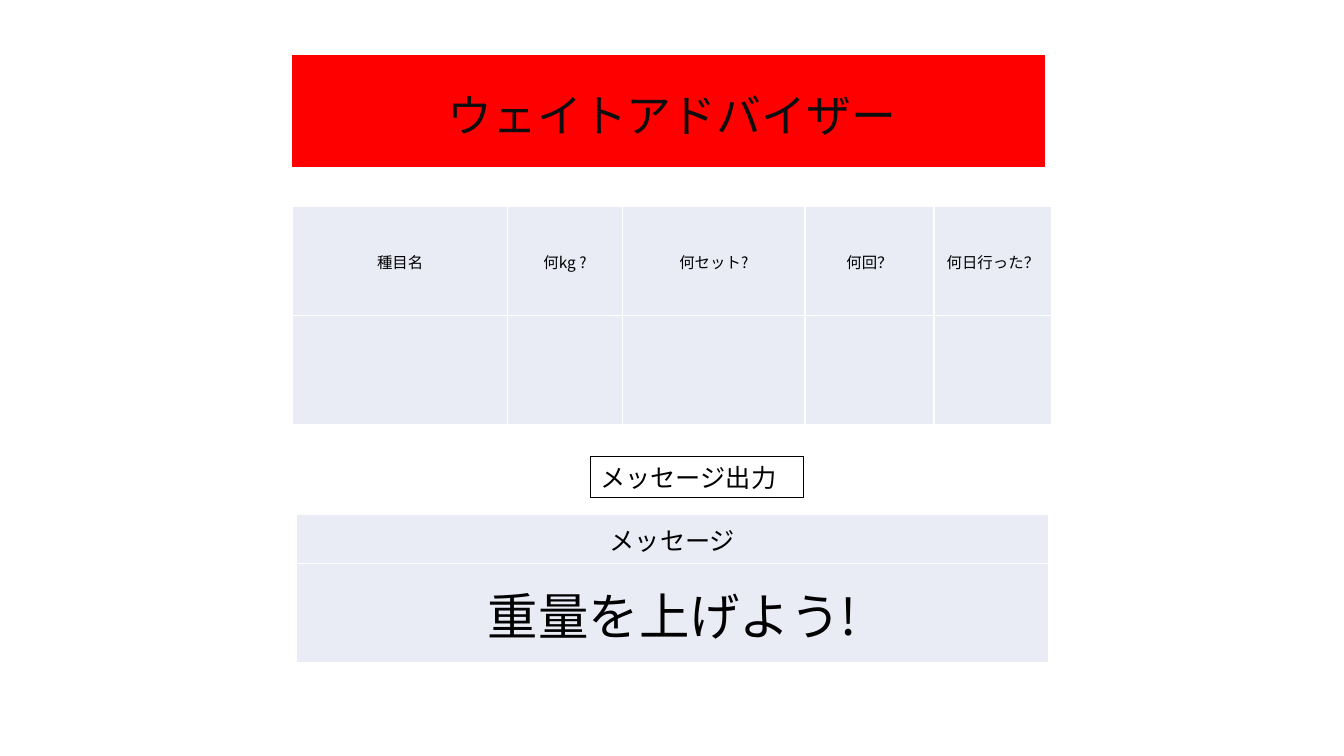
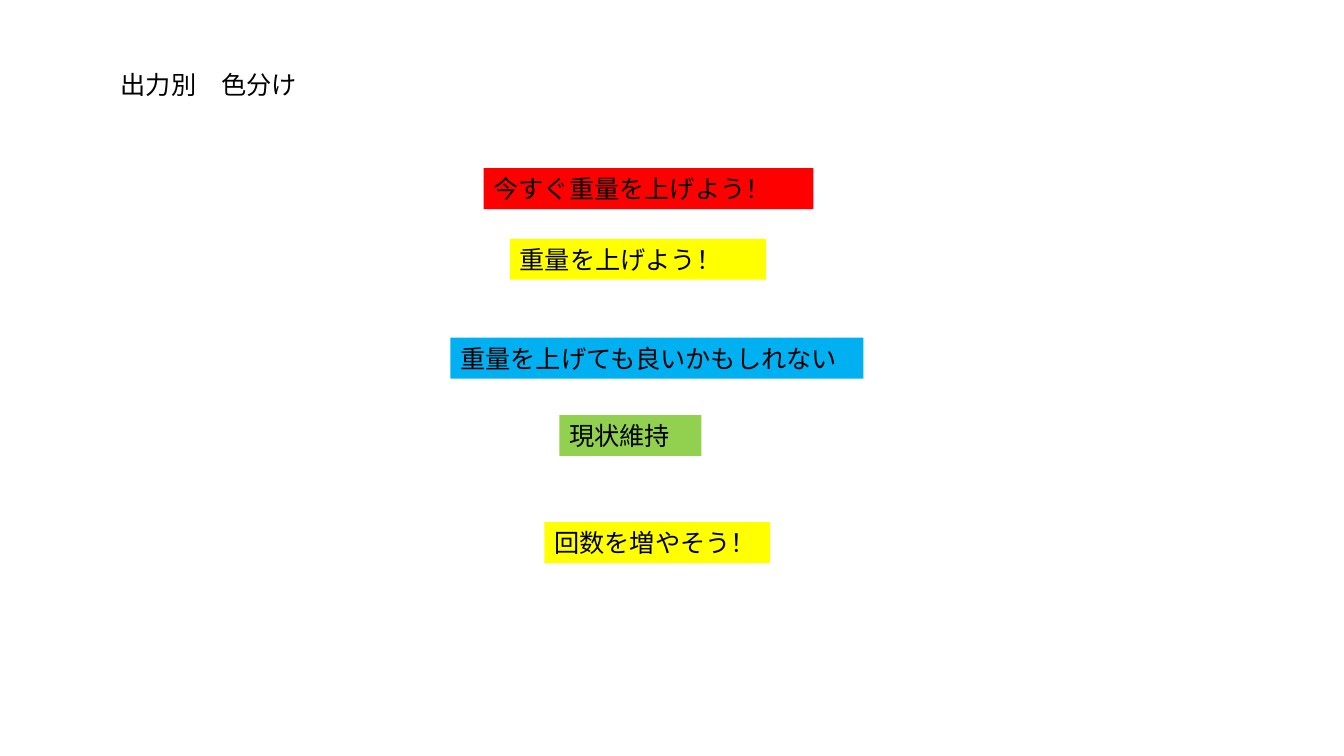
from lxml import etree
from pptx import Presentation
from pptx.dml.color import RGBColor
from pptx.enum.shapes import MSO_SHAPE
from pptx.enum.text import MSO_ANCHOR, MSO_AUTO_SIZE, PP_ALIGN
from pptx.oxml.ns import qn
from pptx.util import Cm, Pt

RECT = MSO_SHAPE.RECTANGLE
MIDDLE = MSO_ANCHOR.MIDDLE
FIXED = MSO_AUTO_SIZE.NONE
LEFT, CENTER = PP_ALIGN.LEFT, PP_ALIGN.CENTER

BLACK, INK, WHITE = "000000", "0D0D0D", "FFFFFF"
RED, YELLOW, BLUE, GREEN = "FF0000", "FFFF00", "00B0F0", "92D050"
PALE = "E9EBF5"
SANS, HEAD = "Noto Sans CJK JP", "Roboto"
LINE = 1.03  # height of a one-line box, in cm


def rgb(code):
    return RGBColor.from_string(code)


class Deck:
    """Holds the style and the current slide; lengths are in cm."""

    def __init__(self):
        self.prs = Presentation()
        self.prs.slide_width, self.prs.slide_height = Cm(33.87), Cm(19.05)
        self.slide = None

    def page(self):
        layout = self.prs.slide_layouts[5]
        self.slide = self.prs.slides.add_slide(layout)

    def add_text(self, frame, text, size=18, align=LEFT, font=SANS,
                 color=BLACK):
        para = frame.paragraphs[0]
        para.alignment = align
        run = para.add_run()
        run.text = text
        style = run.font
        style.size, style.name, style.bold = Pt(size), font, False
        style.color.rgb = rgb(color)
        east = etree.Element(qn("a:ea"), typeface=SANS)
        run._r.rPr.find(qn("a:latin")).addnext(east)

    def frame(self, shape):
        frame = shape.text_frame
        frame.word_wrap = True
        frame.auto_size = FIXED
        frame.vertical_anchor = MIDDLE
        return frame

    def title(self, text, left, top, width, height, **style):
        title = self.slide.shapes.title
        title.left, title.top = Cm(left), Cm(top)
        title.width, title.height = Cm(width), Cm(height)
        self.add_text(self.frame(title), text, **style)

    def box(self, left, top, width, height, fill=None, line=None, weight=1):
        shape = self.slide.shapes.add_shape(
            RECT, Cm(left), Cm(top), Cm(width), Cm(height))
        shape.shadow.inherit = False
        if fill:
            shape.fill.solid()
            shape.fill.fore_color.rgb = rgb(fill)
        else:
            shape.fill.background()
        if line:
            shape.line.color.rgb = rgb(line)
            shape.line.width = Pt(weight)
        else:
            shape.line.fill.background()
        return shape

    def band(self, *place):
        """Put a red bar behind the title."""
        bar = self.box(*place, fill=RED, line=RED)
        self.slide.shapes.title.element.addprevious(bar.element)

    def label(self, text, left, top, width, **style):
        shape = self.box(left, top, width, LINE, **style)
        self.add_text(self.frame(shape), text)

    def edges(self, cell):
        props = cell._tc.get_or_add_tcPr()
        for side in ("lnL", "lnR", "lnT", "lnB"):
            edge = etree.SubElement(props, qn(f"a:{side}"), w=str(Pt(1)))
            fill = etree.SubElement(edge, qn("a:solidFill"))
            etree.SubElement(fill, qn("a:srgbClr"), val=WHITE)

    def table(self, left, top, cols, rows, texts, sizes):
        """Fill a grid row by row; sizes gives the text size of each row."""
        grid = self.slide.shapes.add_table(
            len(rows), len(cols), Cm(left), Cm(top),
            Cm(sum(cols)), Cm(sum(rows))).table
        grid.first_row = grid.horz_banding = False
        for col, width in zip(grid.columns, cols):
            col.width = Cm(width)
        for row, height in zip(grid.rows, rows):
            row.height = Cm(height)
        for cell in grid.iter_cells():
            self.edges(cell)
            cell.fill.solid()
            cell.fill.fore_color.rgb = rgb(PALE)
            cell.vertical_anchor = MIDDLE
            cell.margin_left = cell.margin_right = cell.margin_top = Cm(0.03)
            cell.margin_bottom = 0
        for r, (line, size) in enumerate(zip(texts, sizes)):
            for c, text in enumerate(line):
                self.add_text(grid.cell(r, c).text_frame, text, size, CENTER)


def advice(deck):
    deck.page()
    deck.band(7.37, 1.4, 18.95, 2.79)
    deck.title("ウェイトアドバイザー", 9.25, 2.08, 15.37, 1.63,
               size=32, align=CENTER, font=HEAD, color=INK)
    heads = ["種目名", "何kg ?", "何セット?", "何回？", "何日行った？"]
    deck.table(7.38, 5.21, [5.41, 2.9, 4.6, 3.25, 2.97], [2.75, 2.75],
               [heads], [11])
    deck.table(7.47, 12.95, [18.95], [1.24, 2.51],
               [["メッセージ"], ["重量を上げよう!"]], [18, 36])
    deck.label("メッセージ出力", 14.88, 11.51, 5.38, line=BLACK, weight=0.75)


def colours(deck):
    deck.page()
    deck.title("出力別　色分け", 2.79, 1.6, 8.56, LINE)
    labels = [
        ("今すぐ重量を上げよう！", 12.19, 4.24, 8.31, RED),
        ("重量を上げよう！", 12.85, 6.02, 6.45, YELLOW),
        ("重量を上げても良いかもしれない", 11.35, 8.51, 10.41, BLUE),
        ("現状維持", 14.1, 10.46, 3.58, GREEN),
        ("回数を増やそう！", 13.72, 13.16, 5.69, YELLOW),
    ]
    for text, left, top, width, fill in labels:
        deck.label(text, left, top, width, fill=fill)


def main():
    deck = Deck()
    advice(deck)
    colours(deck)
    deck.prs.save("out.pptx")


if __name__ == "__main__":
    main()
